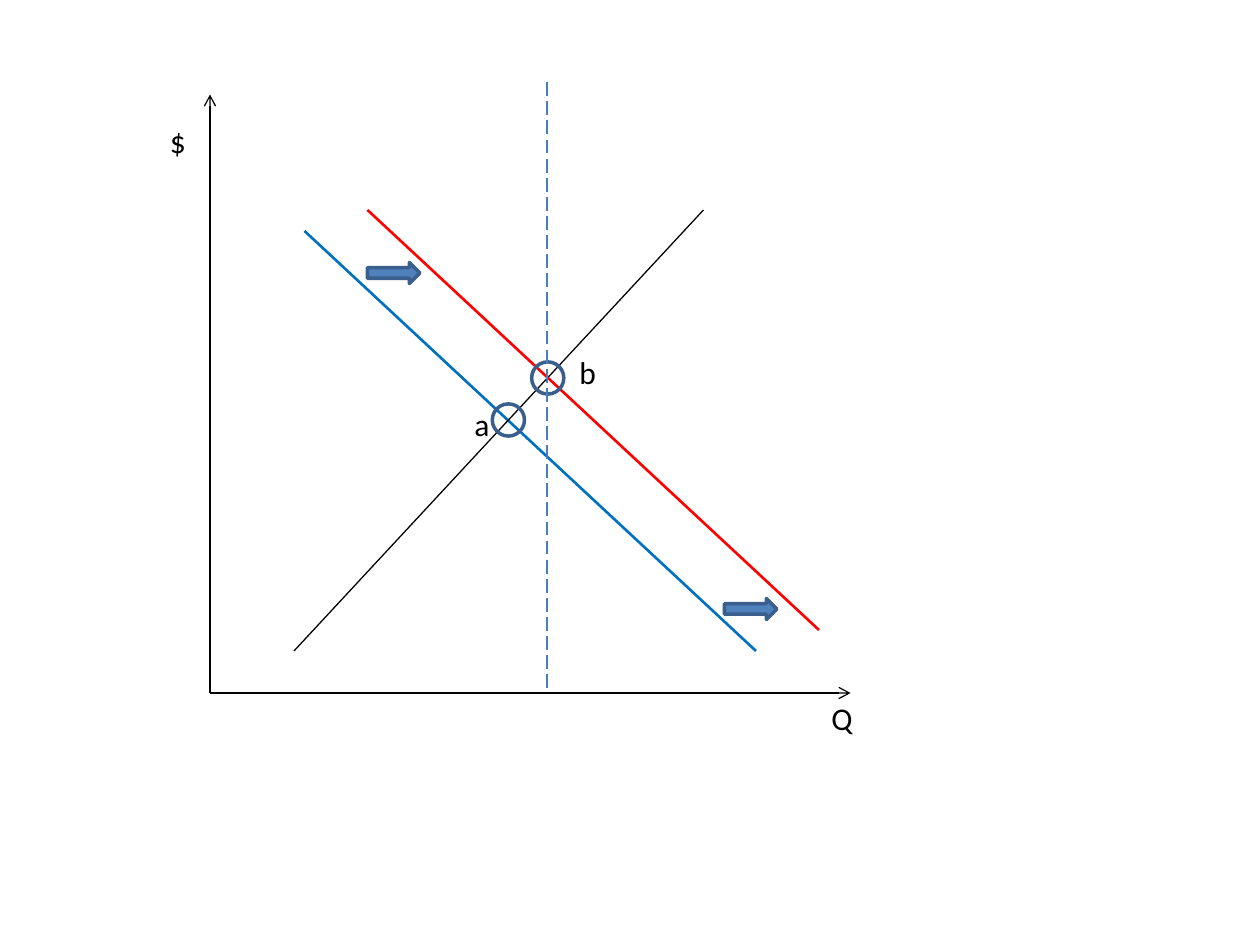
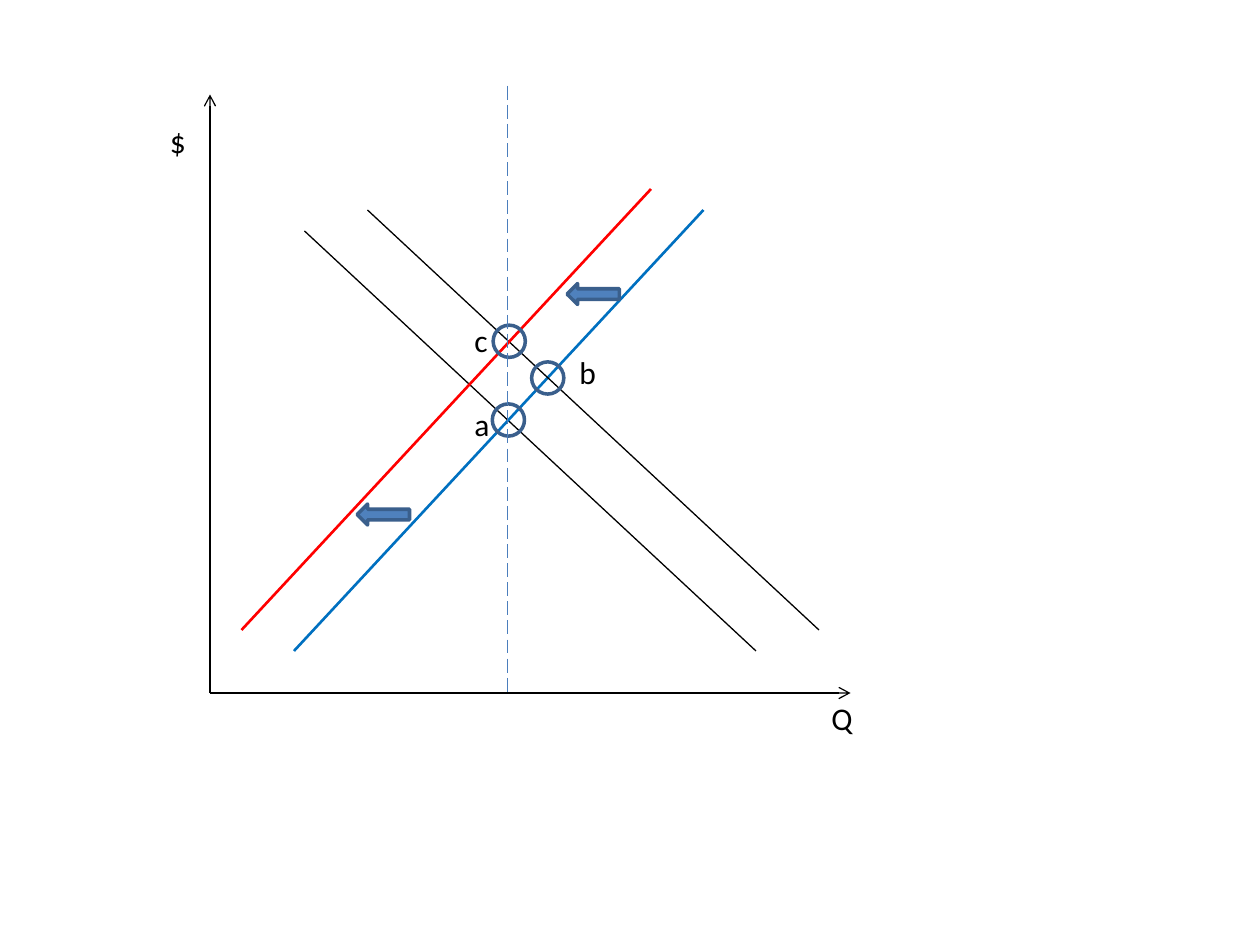
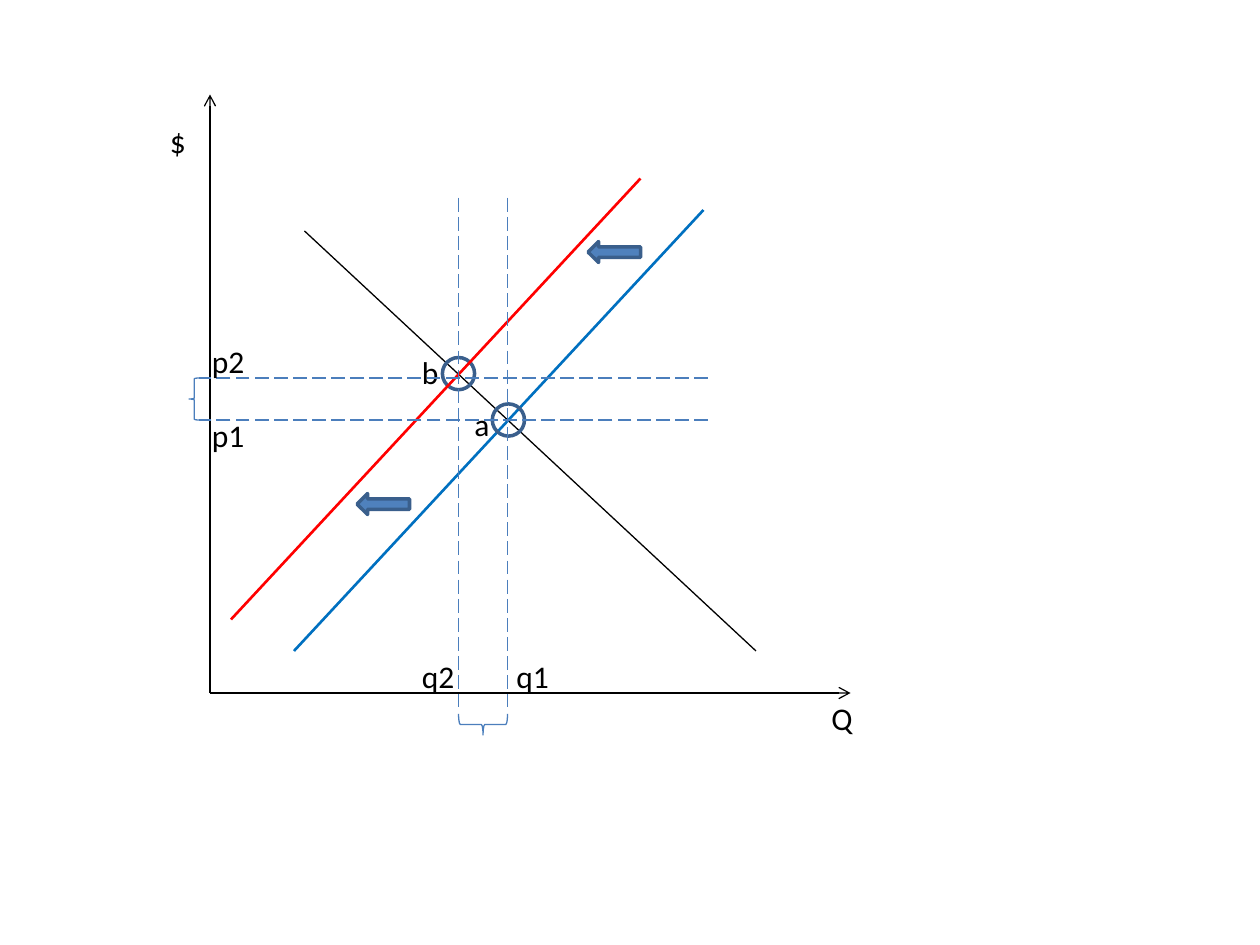
import pptx
import pptx.dml.color
import pptx.enum.dml
import pptx.enum.shapes
import pptx.enum.text
import pptx.oxml
import pptx.oxml.ns
import pptx.util

Pt = pptx.util.Pt
SHAPES = pptx.enum.shapes.MSO_SHAPE

COLORS = {
    "black": "000000",
    "before": "0070C0",
    "after": "FF0000",
    "arrow": "4F81BD",
    "outline": "3A5F8C",
    "guide": "4B7EBC",
}

# Start and end points of the curves before any shift
DEMAND = ((174, 132), (432, 372))
SUPPLY = ((168, 372), (402, 120))

ORIGIN = (120, 396)
DEMAND_SHIFT = (36, -12)
POINT_A = (290.5, 240)
POINT_B = (313, 216)
GUIDE_X = 290
LABEL_WIDTHS = {"$": 24, "Q": 26.6, "a": 23, "b": 24.5, "c": 22.3}


def rgb(name):
    return pptx.dml.color.RGBColor.from_string(COLORS[name])


def write_text(shape, text, size=18, font="Calibri", color="black"):
    frame = shape.text_frame
    frame.word_wrap = False
    frame.auto_size = pptx.enum.text.MSO_AUTO_SIZE.SHAPE_TO_FIT_TEXT
    run = frame.paragraphs[0].add_run()
    run.text = text
    run.font.size = Pt(size)
    run.font.name = font
    run.font.color.rgb = rgb(color)


def add_child(parent, tag, **attributes):
    child = pptx.oxml.parse_xml(f"<{tag} {pptx.oxml.ns.nsdecls('a')}/>")
    for name, value in attributes.items():
        child.set(name, value)
    parent.append(child)


class MarketDiagram:
    """Draws supply and demand diagrams, one on each slide."""

    def __init__(self, presentation):
        self.presentation = presentation
        self.slide = None

    def new_slide(self):
        self.slide = self.presentation.slides.add_slide(self.presentation.slide_layouts[6])
        self.line(ORIGIN, (486, 396), arrow=True)
        self.line(ORIGIN, (120, 54), arrow=True)
        self.label("$", 90, 66)
        self.label("Q", 468, 396)

    def line(self, start, end, color="black", width=0.75, dashed=False, arrow=False):
        connector = self.slide.shapes.add_connector(
            pptx.enum.shapes.MSO_CONNECTOR.STRAIGHT, *map(Pt, start + end))
        connector.line.color.rgb = rgb(color)
        connector.line.width = Pt(width)
        if dashed:
            connector.line.dash_style = pptx.enum.dml.MSO_LINE.LONG_DASH
        if arrow:
            add_child(connector.line._get_or_add_ln(), "a:tailEnd", type="arrow")
        add_child(connector._element.spPr, "a:effectLst")

    def guide(self, start, end):
        self.line(start, end, color="guide", width=1, dashed=True)

    def curve(self, ends, color="black", shift=(0, 0)):
        start, end = [(x + shift[0], y + shift[1]) for x, y in ends]
        self.line(start, end, color, width=0.75 if color == "black" else 1.5)

    def shape(self, kind, left, top, width, height, fill=None,
              outline="outline", outline_width=2, rotation=0):
        shape = self.slide.shapes.add_shape(kind, *map(Pt, (left, top, width, height)))
        shape.shadow.inherit = False
        shape.rotation = rotation
        shape.line.color.rgb = rgb(outline)
        shape.line.width = Pt(outline_width)
        if fill:
            shape.fill.solid()
            shape.fill.fore_color.rgb = rgb(fill)
        else:
            shape.fill.background()

    def shift_arrow(self, left, top, rotation=0):
        self.shape(SHAPES.RIGHT_ARROW, left, top, 30, 12, fill="arrow", rotation=rotation)

    def brace(self, kind, left, top, width, height, rotation=0):
        self.shape(kind, left, top, width, height, outline="guide",
                   outline_width=0.75, rotation=rotation)

    def label(self, text, left, top):
        width = LABEL_WIDTHS.get(text, 33)
        write_text(self.slide.shapes.add_textbox(*map(Pt, (left, top, width, 29))), text)

    def equilibrium(self, text, center, left, top):
        """Circle a crossing of two curves and name it."""
        diameter = 18.4
        x, y = center
        self.shape(SHAPES.OVAL, x - diameter / 2, y - diameter / 2, diameter, diameter)
        self.label(text, left, top)


def demand_increase(diagram):
    diagram.new_slide()
    diagram.curve(DEMAND, "before")
    diagram.curve(SUPPLY)
    diagram.curve(DEMAND, "after", DEMAND_SHIFT)
    diagram.shift_arrow(414, 342)
    diagram.shift_arrow(210, 150)
    diagram.equilibrium("b", POINT_B, 324, 198)
    diagram.equilibrium("a", POINT_A, 264, 228)
    diagram.guide((312.5, 47), (312.5, 394.5))


def supply_decrease_after_demand_increase(diagram):
    diagram.new_slide()
    diagram.curve(DEMAND)
    diagram.curve(SUPPLY, "before")
    diagram.curve(DEMAND, shift=DEMAND_SHIFT)
    diagram.shift_arrow(204, 288, rotation=180)
    diagram.shift_arrow(324, 162, rotation=180)
    diagram.equilibrium("b", POINT_B, 324, 198)
    diagram.equilibrium("a", POINT_A, 264, 228)
    diagram.curve(SUPPLY, "after", (-30, -12))
    diagram.equilibrium("c", (291, 195), 264, 180)
    diagram.guide((GUIDE_X, 49), (GUIDE_X, 396.5))


def supply_decrease(diagram):
    diagram.new_slide()
    diagram.curve(DEMAND)
    diagram.curve(SUPPLY, "before")
    diagram.shift_arrow(204, 282, rotation=180)
    diagram.equilibrium("b", (262, 213.5), 234, 198)
    diagram.equilibrium("a", POINT_A, 264, 228)
    diagram.curve(SUPPLY, "after", (-36, -18))
    diagram.shift_arrow(336, 138, rotation=180)
    for x in (GUIDE_X, 262):
        diagram.guide((x, 113), (x, 404))
    diagram.brace(SHAPES.RIGHT_BRACE, 270, 400, 12, 28, rotation=90)
    for y in (216, 240):
        diagram.guide((404.5, y), (114, y))
    diagram.brace(SHAPES.LEFT_BRACE, 108, 216, 6, 24)
    for text, left, top in (("p2", 114, 192), ("p1", 114, 234),
                            ("q1", 288, 372), ("q2", 234, 372)):
        diagram.label(text, left, top)


def main():
    presentation = pptx.Presentation()
    presentation.slide_width = Pt(720)
    presentation.slide_height = Pt(540)
    diagram = MarketDiagram(presentation)
    demand_increase(diagram)
    supply_decrease_after_demand_increase(diagram)
    supply_decrease(diagram)
    presentation.save("out.pptx")


if __name__ == "__main__":
    main()
